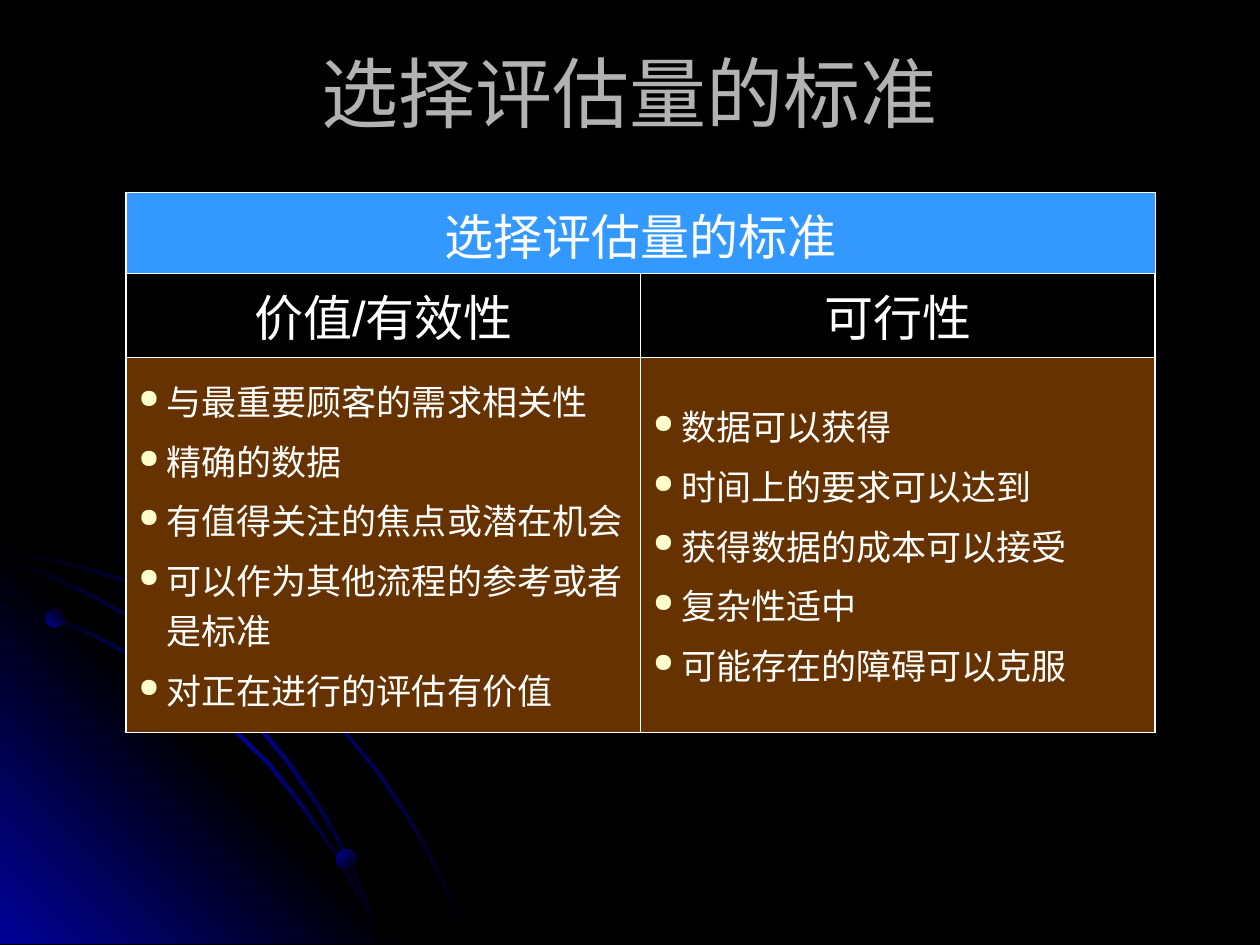
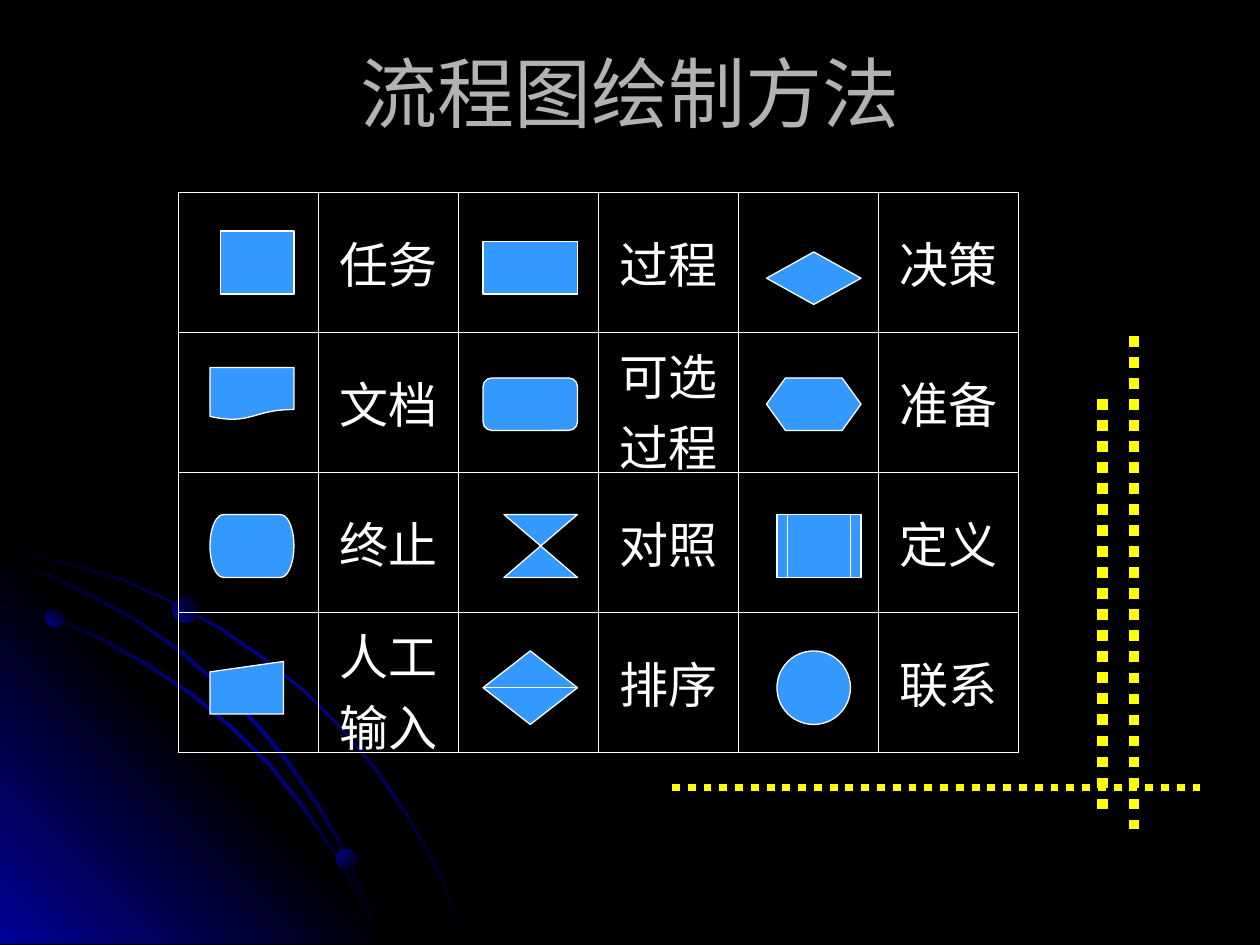
from copy import deepcopy
from dataclasses import dataclass

from pptx import Presentation
from pptx.dml.color import RGBColor
from pptx.enum.dml import MSO_LINE
from pptx.enum.lang import MSO_LANGUAGE_ID
from pptx.enum.shapes import MSO_CONNECTOR, MSO_SHAPE
from pptx.enum.text import MSO_ANCHOR, PP_ALIGN
from pptx.oxml import parse_xml
from pptx.oxml.ns import nsdecls, qn
from pptx.util import Pt

CENTER, LEFT = PP_ALIGN.CENTER, PP_ALIGN.LEFT
MIDDLE = MSO_ANCHOR.MIDDLE
OVAL = MSO_SHAPE.OVAL
STRAIGHT = MSO_CONNECTOR.STRAIGHT
DOTTED = MSO_LINE.ROUND_DOT
CHINESE = MSO_LANGUAGE_ID.SIMPLIFIED_CHINESE


@dataclass(frozen=True)
class Theme:
    font: str = "Arial"
    back: str = "000000"
    glow: str = "010199"
    title: str = "B2B2B2"
    text: str = "FFFFFF"
    blue: str = "3399FF"
    brown: str = "663300"
    bullet: str = "FFFFCC"
    dots: str = "FFFF00"
    title_size: int = 44
    head_size: int = 28
    body_size: int = 20
    outer: float = 1.08
    inner: float = 0.45
    edge: float = 0.75


THEME = Theme()
FADE = (THEME.back, THEME.glow, THEME.back)

# Outlines of the backdrop in points: gradient colours, angle, corners
CURVES = [
    (FADE, 225, [
        (41, 321.8), (20.2, 317.5), (0, 313.2), (0, 315.4), (20.2, 319),
        (40.3, 323.3), (69.8, 331.9), (97.2, 344.2), (124.6, 359.3),
        (149.8, 376.6), (173.5, 395.3), (195.1, 416.9), (214.6, 440.6),
        (232.6, 467.3), (242.6, 484.6), (252, 502.6), (259.2, 520.6),
        (266.4, 539.3), (267.8, 539.3), (260.6, 520.6), (253.4, 502.6),
        (244.1, 484.6), (234, 466.6), (216, 439.9), (195.8, 416.2),
        (174.2, 394.6), (150.5, 375.1), (125.3, 357.8), (97.9, 343.4),
        (70.6, 330.5)]),
    ((THEME.glow, THEME.back, THEME.glow), 135, [
        (231.8, 539.3), (0, 539.3), (0, 307.4)]),
    (FADE, 225, [
        (205.2, 514.1), (211.7, 527), (216.7, 539.3), (218.2, 539.3),
        (213.1, 525.6), (205.9, 512.6), (191.5, 486.7), (174.2, 460.8),
        (154.8, 436.3), (132.5, 414.7), (109.4, 395.3), (84.2, 378.7),
        (56.9, 363.6), (29.5, 351.4), (0, 342), (0, 343.4), (28.1, 352.8),
        (55.4, 365), (82.8, 380.2), (108, 396.7), (131.8, 416.2),
        (153.4, 437.8), (172.8, 462.2), (190.8, 487.4)]),
    (FADE, 225, [
        (0, 318.2), (0, 319.7), (25.9, 329), (53.3, 342), (78.5, 355.7),
        (102.2, 373), (124.6, 391.7), (145.4, 414), (163.4, 435.6),
        (181.4, 461.5), (192.2, 480.2), (201.6, 499.7), (210.2, 519.8),
        (216.7, 539.3), (218.2, 539.3), (211.7, 518.4), (203, 499),
        (193.7, 478.8), (182.9, 460.1), (164.9, 434.2), (146.9, 412.6),
        (126, 391), (103.7, 371.5), (79.9, 355), (54.7, 340.6),
        (28.1, 327.6)]),
]
# Left, top, size, gradient angle
BEADS = [(25.9, 347.8, 10.8, 135), (192.2, 485.3, 11.5, 225),
         (98.6, 340.6, 15.1, 135)]

VALUE = ["与最重要顾客的需求相关性", "精确的数据", "有值得关注的焦点或潜在机会",
         "可以作为其他流程的参考或者是标准", "对正在进行的评估有价值"]
EASE = ["数据可以获得", "时间上的要求可以达到", "获得数据的成本可以接受",
        "复杂性适中", "可能存在的障碍可以克服"]

# Rows of flowchart signs: label, shape, box
SIGNS = [
    [("任务", MSO_SHAPE.RECTANGLE, (126, 132, 42, 36)),
     ("过程", MSO_SHAPE.FLOWCHART_PROCESS, (276, 138, 54, 30)),
     ("决策", MSO_SHAPE.FLOWCHART_DECISION, (438, 144, 54, 30))],
    [("文档", MSO_SHAPE.FLOWCHART_DOCUMENT, (120, 210, 48, 30)),
     ("可选过程", MSO_SHAPE.FLOWCHART_ALTERNATE_PROCESS, (276, 216, 54, 30)),
     ("准备", MSO_SHAPE.FLOWCHART_PREPARATION, (438, 216, 54, 30))],
    [("终止", MSO_SHAPE.FLOWCHART_TERMINATOR, (120, 294, 48, 36)),
     ("对照", MSO_SHAPE.FLOWCHART_COLLATE, (288, 294, 42, 36)),
     ("定义", MSO_SHAPE.FLOWCHART_PREDEFINED_PROCESS, (444, 294, 48, 36))],
    [("人工输入", MSO_SHAPE.FLOWCHART_MANUAL_INPUT, (120, 378, 42, 30)),
     ("排序", MSO_SHAPE.FLOWCHART_SORT, (276, 372, 54, 42)),
     ("联系", MSO_SHAPE.FLOWCHART_CONNECTOR, (444, 372, 42, 42))],
]
# From x, y to x, y, width
RULES = [(384, 450, 690, 450, 4.5), (648, 192, 648, 474, 6),
         (630, 228, 630, 468, 6)]


def color(code):
    return RGBColor.from_string(code)


def points(values):
    return [Pt(value) for value in values]


def apply(target, values):
    for name, value in values.items():
        setattr(target, name, value)


def write(para, text, size, tint=THEME.text, align=CENTER, before=0):
    apply(para, {"alignment": align, "space_before": Pt(before)})
    run = para.add_run()
    run.text = text
    apply(run.font, {"name": THEME.font, "size": Pt(size),
                     "language_id": CHINESE})
    run.font.color.rgb = color(tint)


def blend(shape, tints, angle):
    """Fill with evenly spaced gradient stops, angle running clockwise."""
    shape.shadow.inherit = False
    shape.line.fill.background()
    fill = shape.fill
    fill.gradient()
    fill.gradient_angle = 360 - angle
    stops = next(shape._element.iter(qn("a:gsLst")))
    for _ in tints[2:]:
        stops.append(deepcopy(stops[0]))
    for i, (stop, tint) in enumerate(zip(fill.gradient_stops, tints)):
        stop.color.rgb = color(tint)
        stop.position = i / (len(tints) - 1)


def backdrop(slide):
    for tints, angle, corners in CURVES:
        start, *rest = [points(corner) for corner in corners]
        outline = slide.shapes.build_freeform(*start)
        outline.add_line_segments(rest, close=True)
        blend(outline.convert_to_shape(), tints, angle)
    for left, top, size, angle in BEADS:
        bead = slide.shapes.add_shape(OVAL, *points((left, top, size, size)))
        blend(bead, (THEME.back, THEME.glow), angle)


def new_slide(deck, title):
    slide = deck.slides.add_slide(deck.slide_layouts[6])
    backdrop(slide)
    box = slide.shapes.add_textbox(*points((36, 21.6, 648, 61.2)))
    apply(box.text_frame, {"word_wrap": True, "vertical_anchor": MIDDLE})
    write(box.text_frame.paragraphs[0], title, THEME.title_size, THEME.title)
    return slide


def border(cell, edges):
    """Draw each side; edges tells which sides are on the table's rim."""
    props = cell._tc.get_or_add_tcPr()
    for side, rim in edges.items():
        width = Pt(THEME.outer if rim else THEME.inner)
        props.append(parse_xml(
            f'<a:ln{side} {nsdecls("a")} w="{width}"><a:solidFill>'
            f'<a:srgbClr val="{THEME.text}"/></a:solidFill></a:ln{side}>'))


def grid(slide, left, top, widths, heights):
    """Add a ruled table without fills."""
    box = points((left, top, sum(widths), sum(heights)))
    table = slide.shapes.add_table(len(heights), len(widths), *box).table
    apply(table, {"first_row": False, "horz_banding": False})
    for column, width in zip(table.columns, widths):
        column.width = Pt(width)
    for r, height in enumerate(heights):
        table.rows[r].height = Pt(height)
        for c in range(len(widths)):
            cell = table.cell(r, c)
            border(cell, {"L": c == 0, "R": c == len(widths) - 1,
                          "T": r == 0, "B": r == len(heights) - 1})
            cell.fill.background()
            cell.vertical_anchor = MIDDLE
    return table


def paint(cell, tint):
    cell.fill.solid()
    cell.fill.fore_color.rgb = color(tint)


def label(cell, text):
    write(cell.text_frame.paragraphs[0], text, THEME.head_size, before=7)


def bullets(cell, items):
    frame = cell.text_frame
    for i, item in enumerate(items):
        para = frame.add_paragraph() if i else frame.paragraphs[0]
        write(para, item, THEME.body_size, align=LEFT, before=5)
        props = para._p.get_or_add_pPr()
        props.set("marL", str(Pt(16)))
        props.set("indent", str(-Pt(16)))
        for mark in (f'buClr {nsdecls("a")}><a:srgbClr val="{THEME.bullet}"/>'
                     '</a:buClr>',
                     f'buSzPct {nsdecls("a")} val="75000"/>',
                     f'buChar {nsdecls("a")} char="●"/>'):
            props.append(parse_xml("<a:" + mark))


def sign(slide, kind, box):
    shape = slide.shapes.add_shape(kind, *points(box))
    shape.shadow.inherit = False
    shape.fill.solid()
    shape.fill.fore_color.rgb = color(THEME.blue)
    shape.line.color.rgb = color(THEME.text)
    shape.line.width = Pt(THEME.edge)


def rule(slide, *ends, width):
    line = slide.shapes.add_connector(STRAIGHT, *points(ends))
    line.line.color.rgb = color(THEME.dots)
    apply(line.line, {"width": Pt(width), "dash_style": DOTTED})
    line._element.spPr.append(parse_xml(f'<a:effectLst {nsdecls("a")}/>'))


def criteria(deck):
    slide = new_slide(deck, "选择评估量的标准")
    table = grid(slide, 72, 110, [294] * 2, [46, 48, 214.5])
    head = table.cell(0, 0)
    head.merge(table.cell(0, 1))
    paint(head, THEME.blue)
    label(head, "选择评估量的标准")
    for c, (name, items) in enumerate([("价值/有效性", VALUE),
                                       ("可行性", EASE)]):
        label(table.cell(1, c), name)
        paint(table.cell(2, c), THEME.brown)
        bullets(table.cell(2, c), items)


def symbols(deck):
    slide = new_slide(deck, "流程图绘制方法")
    table = grid(slide, 102, 110, [80] * 6, [80] * 4)
    for r, row in enumerate(SIGNS):
        for c, (name, kind, box) in enumerate(row):
            label(table.cell(r, 2 * c + 1), name)
            sign(slide, kind, box)
    for *ends, width in RULES:
        rule(slide, *ends, width=width)


def main():
    deck = Presentation()
    apply(deck, {"slide_width": Pt(720), "slide_height": Pt(540)})
    back = deck.slide_master.background.fill
    back.solid()
    back.fore_color.rgb = color(THEME.back)
    criteria(deck)
    symbols(deck)
    deck.save("out.pptx")


if __name__ == "__main__":
    main()
